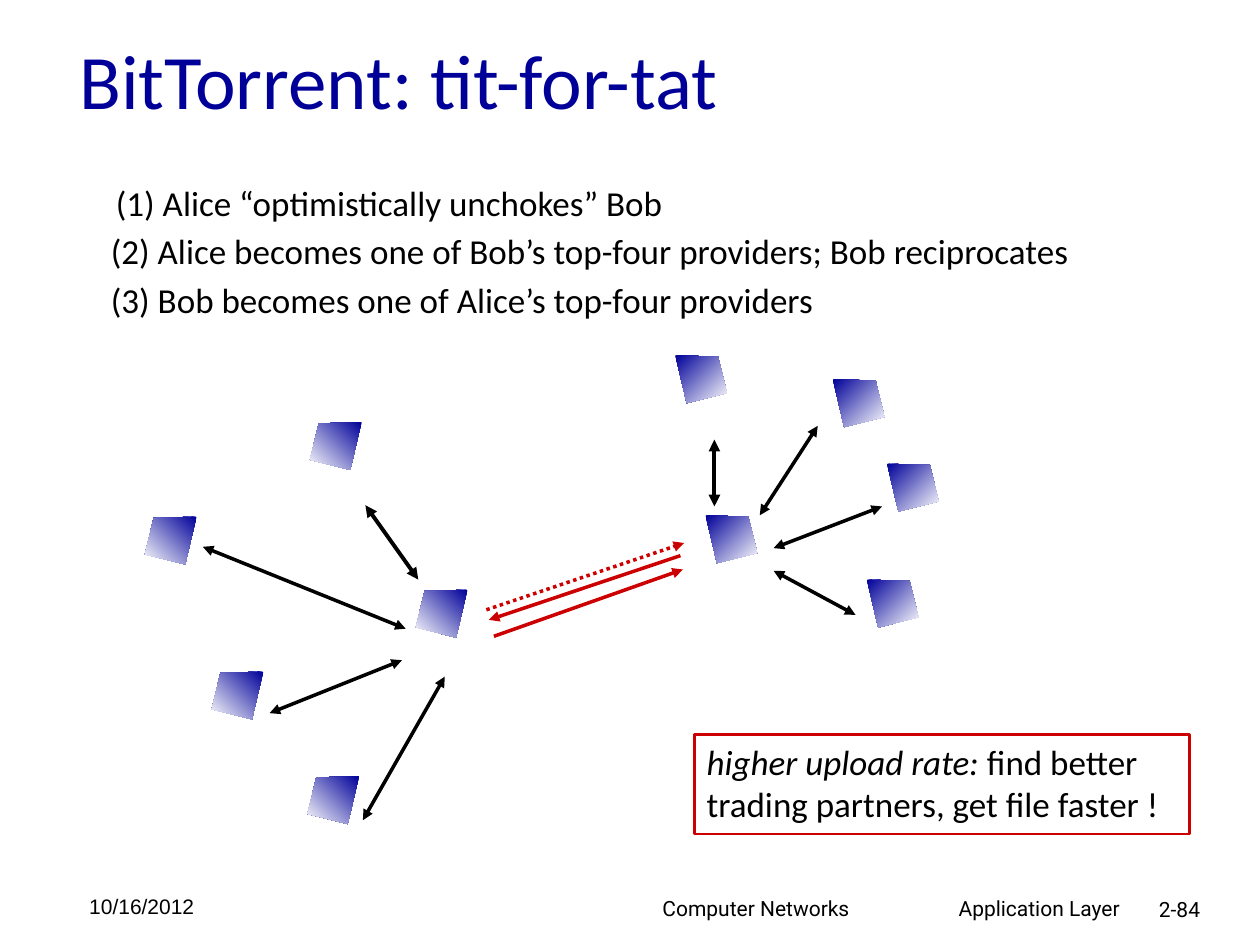
import pptx
import pptx.util
import pptx.dml.color
import pptx.enum.dml
import pptx.enum.shapes
import pptx.enum.text
import pptx.oxml
import pptx.oxml.ns
from lxml import etree

COLUMNS, ROWS = 100, 75
CELL = pptx.util.Inches(10) // COLUMNS

THEME = {
    "ink": "000000", "navy": "000099", "red": "CC0000", "white": "FFFFFF",
    "body_font": "Calibri", "footer_font": "Roboto", "date_font": "Arial",
    "title_size": 44, "body_size": 20, "footer_size": 12,
}

TITLE = ("BitTorrent: tit-for-tat", (5.3, 0, 85, 12.5))
STEPS = [
    ("(1) Alice “optimistically unchokes” Bob", 9.2, 44),
    ("(2) Alice becomes one of Bob’s top-four providers; Bob reciprocates", 8.8, 77.7),
    ("(3) Bob becomes one of Alice’s top-four providers", 8.8, 57),
]
STEP_TOP, STEP_PITCH, STEP_HEIGHT = 14.4, 3.85, 3.3
NOTE = [("higher upload rate:", True), (" find better trading partners, get file faster !", False)]
NOTE_BOX = (55.1, 58.3, 39.3, 7.9)

FOOTER_TAB = 23.5
FOOTERS = [
    ("10/16/2012", (6.1, 70.4, 20.8, 3.6), "date_font"),
    ("Computer Networks\tApplication Layer", (51.6, 70.6, 39.4, 3.1), "footer_font"),
    ("2-84", (91, 70.7, 7.4, 3), "footer_font"),
]

PEER_OUTLINE = [(0, 0), (3.4, 0.1), (4.1, 3), (0.9, 3.8)]
PEER_WIDTH = 4.1
ALICE_PEERS = [(16.8, 53.3), (24.4, 61.6), (11.5, 41), (33, 46.8), (24.6, 33.5)]
BOB_PEERS = [(68.8, 46), (70.4, 36.8), (66.1, 30.1), (56, 40.9), (53.6, 28.2)]

TRADES = [
    ((32.2, 49.9), (16.1, 43.4), 2),
    ((31.9, 52.4), (21.4, 56.6), 2),
    ((35.3, 53.7), (28.8, 65.1), 2),
    ((60.3, 40.9), (64.9, 33.8), 2),
    ((61.4, 43.5), (70, 40.2), 2),
    ((61.4, 45.3), (67.9, 48.8), 2),
    ((56.7, 34.9), (56.7, 40.2), 2.25),
    ((29, 40.1), (33.2, 46), 2.25),
]
EXCHANGES = [
    ((38.6, 48.4), (54.3, 43.1), True),
    ((54, 44.1), (38.8, 49.2), False),
    ((39.2, 50.5), (54.2, 45.2), False),
]


def cells(values):
    return [round(value * CELL) for value in values]


def color(name):
    return pptx.dml.color.RGBColor.from_string(THEME[name])


def add_run(paragraph, text, font, size, ink="ink", italic=None):
    run = paragraph.add_run()
    run.text = text
    run.font.name = THEME[font]
    run.font.size = pptx.util.Pt(THEME[size])
    run.font.color.rgb = color(ink)
    run.font.italic = italic


def add_title(slide):
    text, box = TITLE
    title = slide.shapes.title
    title.left, title.top, title.width, title.height = cells(box)
    title.text_frame.vertical_anchor = pptx.enum.text.MSO_ANCHOR.MIDDLE
    paragraph = title.text_frame.paragraphs[0]
    paragraph.alignment = pptx.enum.text.PP_ALIGN.LEFT
    add_run(paragraph, text, "body_font", "title_size", "navy")


def add_steps(slide):
    for row, (text, left, width) in enumerate(STEPS):
        box = (left, STEP_TOP + row * STEP_PITCH, width, STEP_HEIGHT)
        frame = slide.shapes.add_textbox(*cells(box)).text_frame
        frame.margin_left = frame.margin_top = frame.margin_right = frame.margin_bottom = 0
        frame.word_wrap = False
        frame.auto_size = pptx.enum.text.MSO_AUTO_SIZE.SHAPE_TO_FIT_TEXT
        add_run(frame.paragraphs[0], text, "body_font", "body_size")


def add_footers(slide):
    for text, box, font in FOOTERS:
        frame = slide.shapes.add_textbox(*cells(box)).text_frame
        frame.margin_right = 0
        frame.word_wrap = True
        paragraph = frame.paragraphs[0]
        if "\t" in text:
            properties = paragraph._p.get_or_add_pPr()
            tabs = etree.SubElement(properties, pptx.oxml.ns.qn("a:tabLst"))
            etree.SubElement(tabs, pptx.oxml.ns.qn("a:tab"),
                             pos=str(round(FOOTER_TAB * CELL)), algn="l")
        add_run(paragraph, text, font, "footer_size")


def add_note(slide):
    shape = slide.shapes.add_shape(pptx.enum.shapes.MSO_SHAPE.RECTANGLE, *cells(NOTE_BOX))
    shape.shadow.inherit = False
    shape.fill.background()
    shape.line.color.rgb = color("red")
    shape.line.width = pptx.util.Pt(1.5)
    frame = shape.text_frame
    frame.word_wrap = True
    frame.auto_size = pptx.enum.text.MSO_AUTO_SIZE.SHAPE_TO_FIT_TEXT
    frame.vertical_anchor = pptx.enum.text.MSO_ANCHOR.TOP
    paragraph = frame.paragraphs[0]
    paragraph.alignment = pptx.enum.text.PP_ALIGN.LEFT
    for text, italic in NOTE:
        add_run(paragraph, text, "body_font", "body_size", italic=italic)


def add_peer(slide, left, top, mirrored):
    points = [cells((left + (PEER_WIDTH - x if mirrored else x), top + y))
              for x, y in PEER_OUTLINE]
    builder = slide.shapes.build_freeform(*points[0])
    builder.add_line_segments(points[1:], close=True)
    shape = builder.convert_to_shape()
    shape.shadow.inherit = False
    shape.line.fill.background()
    shape.fill.gradient()
    shape.fill.gradient_angle = 225 if mirrored else 315
    for stop, name in zip(shape.fill.gradient_stops, ("navy", "white")):
        stop.color.rgb = color(name)


def add_arrow(slide, start, end, ink, width, both_ends=False, dotted=False):
    connector = slide.shapes.add_connector(
        pptx.enum.shapes.MSO_CONNECTOR.STRAIGHT, *cells(start + end))
    connector.line.color.rgb = color(ink)
    connector.line.width = pptx.util.Pt(width)
    if dotted:
        connector.line.dash_style = pptx.enum.dml.MSO_LINE.ROUND_DOT
    line = connector.line._get_or_add_ln()
    for tag in ("a:headEnd", "a:tailEnd") if both_ends else ("a:tailEnd",):
        etree.SubElement(line, pptx.oxml.ns.qn(tag), type="triangle")
    etree.SubElement(connector._element.spPr, pptx.oxml.ns.qn("a:effectLst"))


def main():
    presentation = pptx.Presentation()
    presentation.slide_width = COLUMNS * CELL
    presentation.slide_height = ROWS * CELL
    slide = presentation.slides.add_slide(presentation.slide_layouts[5])
    add_title(slide)
    add_footers(slide)
    for start, end, width in TRADES:
        add_arrow(slide, start, end, "ink", width, both_ends=True)
    for start, end, dotted in EXCHANGES:
        add_arrow(slide, start, end, "red", 2, dotted=dotted)
    add_steps(slide)
    add_note(slide)
    for peers, mirrored in ((ALICE_PEERS, True), (BOB_PEERS, False)):
        for left, top in peers:
            add_peer(slide, left, top, mirrored)
    presentation.save("out.pptx")


if __name__ == "__main__":
    main()
